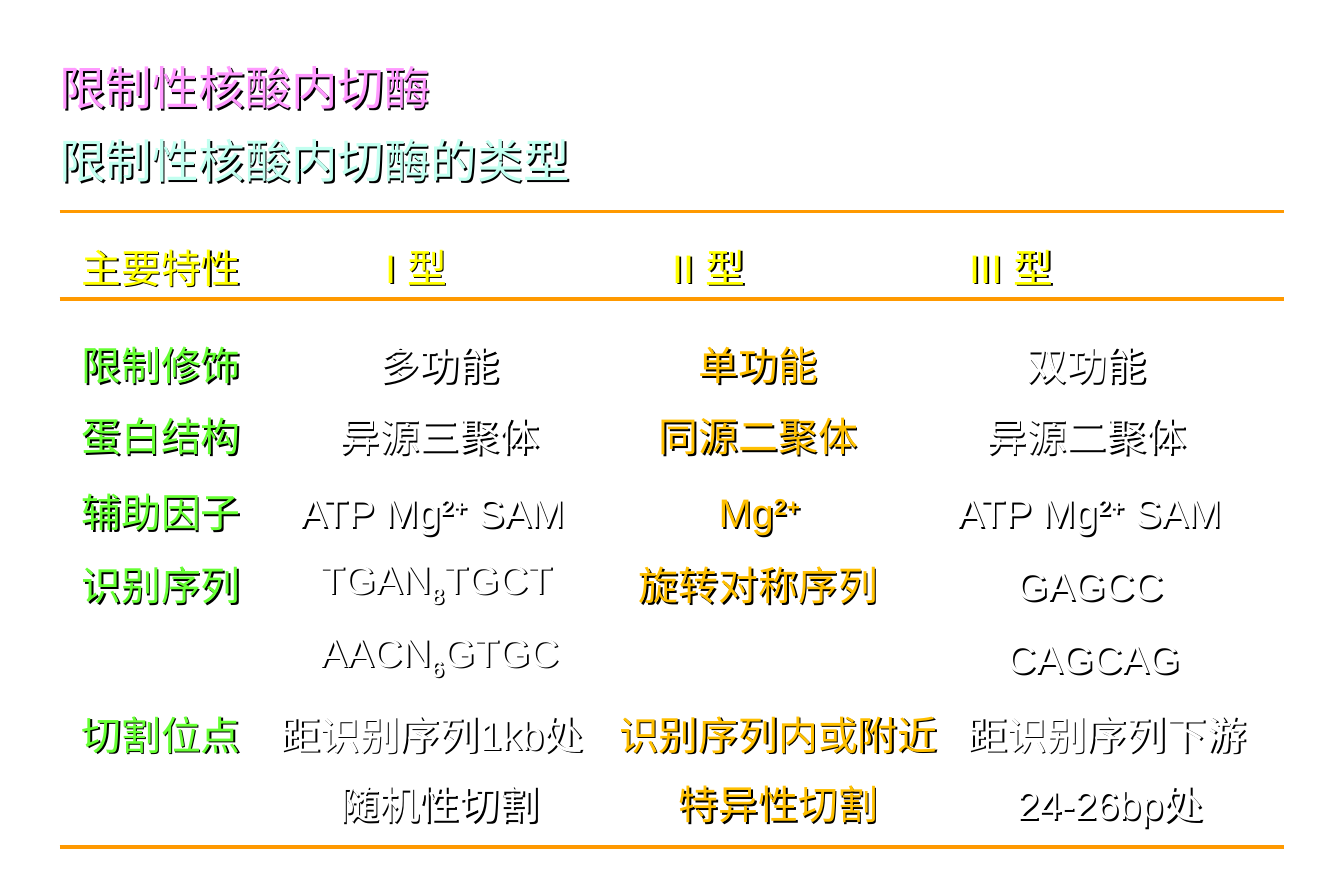
from dataclasses import dataclass

from lxml import etree
from pptx import Presentation
from pptx.dml.color import RGBColor
from pptx.enum.shapes import MSO_CONNECTOR
from pptx.enum.text import MSO_ANCHOR
from pptx.oxml.ns import qn
from pptx.util import Pt

STRAIGHT = MSO_CONNECTOR.STRAIGHT
BOTTOM = MSO_ANCHOR.BOTTOM


@dataclass(frozen=True)
class Theme:
    font: str = "Arial"
    title: int = 28
    body: int = 24
    pink: str = "FF99FF"
    mint: str = "C2FFF0"
    yellow: str = "FFFF00"
    green: str = "66FF33"
    white: str = "FFFFFF"
    gold: str = "FFC000"
    rule: str = "FF9900"
    shade: str = "000000"


THEME = Theme()
HEIGHT = 55.4
COLORS = (THEME.green, THEME.white, THEME.gold, THEME.white)
TABS = (183, 356, 535)
RULES = (127.5, 180, 510.5)
ATP = ("ATP Mg", "2+", " SAM")
ROWS = (
    (185, ((42, 126, "限制修饰"), (222, 90, "多功能"),
           (414, 90, "单功能"), (612, 90, "双功能"))),
    (227.5, ((42, 120, "蛋白结构"), (198, 138, "异源三聚体"),
             (390, 144, "同源二聚体"), (588, 138, "异源二聚体"))),
    (273.5, ((42, 120, "辅助因子"), (174, 180, ATP),
             (426, 72, ("Mg", "2+")), (570, 180, ATP))),
    (317.5, ((42, 114, "识别序列"), (186, 162, ("TGAN", "8", "TGCT")),
             (378, 168, "旋转对称序列"), (606, 108, "GAGCC"))),
    (361.5, (None, (186, 162, ("AACN", "6", "GTGC")),
             None, (600, 120, "CAGCAG"))),
    (407.5, ((42, 114, "切割位点"), (162, 216, "距识别序列1kb处"),
             (366, 216, "识别序列内或附近"), (576, 186, "距识别序列下游"))),
    (449.5, (None, (198, 138, "随机性切割"),
             (402, 150, "特异性切割"), (606, 132, "24-26bp处"))),
)


def add_shade(shape):
    shape.shadow.inherit = False
    effects = shape._element.spPr.find(qn("a:effectLst"))
    shadow = etree.SubElement(effects, qn("a:outerShdw"),
                              dist="17961", dir="2700000", algn="ctr", rotWithShape="0")
    etree.SubElement(shadow, qn("a:srgbClr"), val=THEME.shade)


def add_tabs(para, stops):
    tabs = etree.SubElement(para._p.get_or_add_pPr(), qn("a:tabLst"))
    for stop in stops:
        etree.SubElement(tabs, qn("a:tab"), pos=str(Pt(stop)), algn="l")


def add_text(slide, left, top, width, text, color, size=THEME.body, tabs=()):
    box = slide.shapes.add_textbox(Pt(left), Pt(top), Pt(width), Pt(HEIGHT))
    add_shade(box)
    frame = box.text_frame
    frame.word_wrap = True
    frame.vertical_anchor = BOTTOM
    frame.margin_bottom = Pt(6)
    para = frame.paragraphs[0]
    if tabs:
        add_tabs(para, tabs)
    para.font.name = THEME.font
    para.font.size = Pt(size)
    para.font.color.rgb = RGBColor.from_string(color)
    parts = (text,) if isinstance(text, str) else text
    for index, part in enumerate(parts):
        run = para.add_run()
        run.text = part
        if index % 2:
            run.font.bold = True
            shift = "30000" if part.endswith("+") else "-25000"
            run._r.get_or_add_rPr().set("baseline", shift)


def add_rule(slide, top):
    line = slide.shapes.add_connector(STRAIGHT, Pt(36), Pt(top), Pt(774), Pt(top))
    line.line.color.rgb = RGBColor.from_string(THEME.rule)
    line.line.width = Pt(2.25)
    etree.SubElement(line._element.spPr, qn("a:effectLst"))


def main():
    deck = Presentation()
    deck.slide_width, deck.slide_height = Pt(810), Pt(540)
    slide = deck.slides.add_slide(deck.slide_layouts[6])
    add_text(slide, 28.8, 20, 247, "限制性核酸内切酶", THEME.pink, THEME.title)
    add_text(slide, 28.8, 64, 336, "限制性核酸内切酶的类型", THEME.mint, THEME.title)
    add_text(slide, 42, 126, 738, "主要特性\tI 型\tII 型\tIII 型", THEME.yellow, tabs=TABS)
    for top, cells in ROWS:
        for cell, color in zip(cells, COLORS):
            if cell:
                left, width, text = cell
                add_text(slide, left, top, width, text, color)
    for top in RULES:
        add_rule(slide, top)
    deck.save("out.pptx")


if __name__ == "__main__":
    main()
